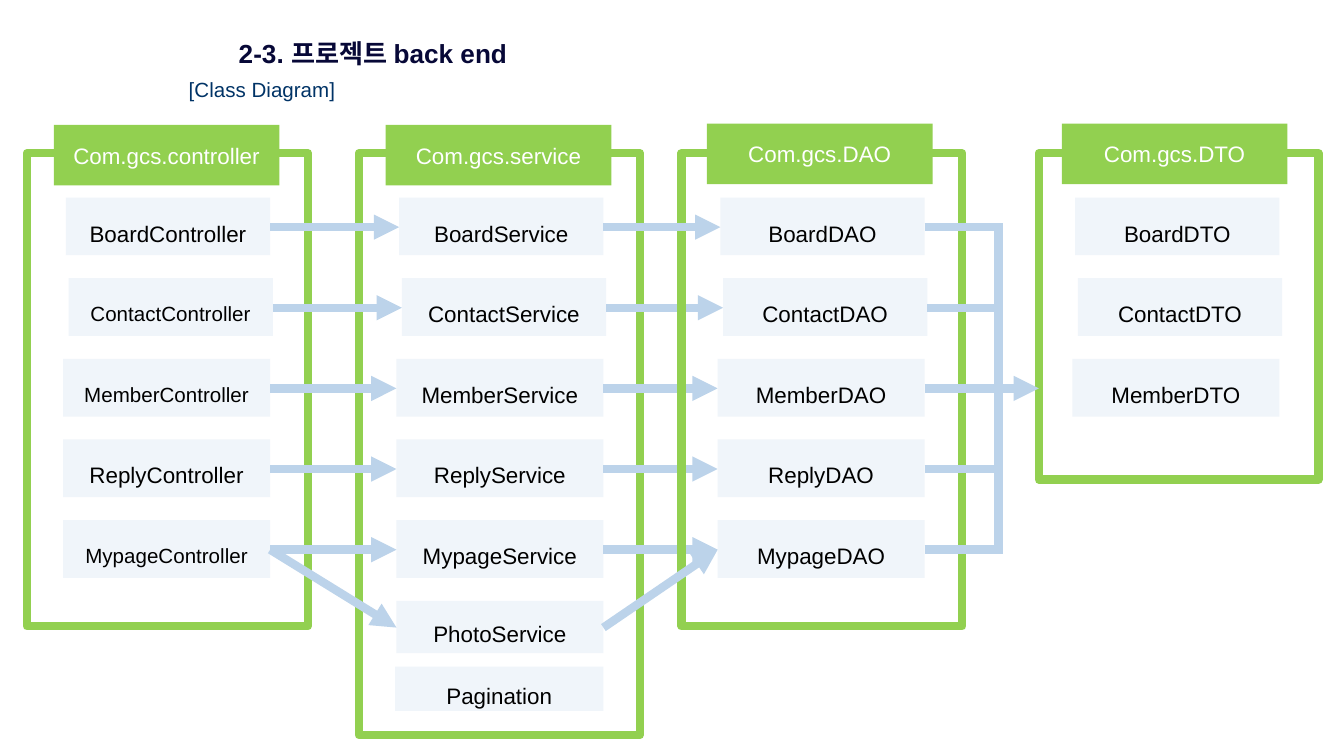
"""Build a class diagram slide of back-end packages and their links."""
from dataclasses import dataclass

from lxml import etree
from pptx import Presentation
from pptx import util as u
from pptx.dml.color import RGBColor
from pptx.enum import shapes, text
from pptx.oxml.ns import qn

GREEN, PALE, ARROW = "92D050", "F0F5FA", "BCD3EA"
ROW_TOP, ROW_STEP, BOX_HEIGHT = 1.47, 0.6, 0.43
ROW_SHIFTS = (0.02, 0.04, 0, 0, 0)
ROW_WIDTHS = (1.52, 1.52, 1.54, 1.54, 1.54)


@dataclass
class Box:
    label: str
    left: float
    top: float
    width: float
    height: float = BOX_HEIGHT
    size: int = 12


@dataclass
class Package:
    name: str
    frame: tuple[float, float, float, float]
    header_left: float
    header_top: float
    class_left: float
    kinds: tuple[str, ...]
    suffix: str
    small: tuple[str, ...] = ()
    extras: tuple[Box, ...] = ()


@dataclass
class Link:
    start: tuple[float, float]
    end: tuple[float, float]
    arrow: bool = True


KINDS = ("Board", "Contact", "Member", "Reply", "Mypage")
CONTROLLER = Package("Com.gcs.controller", (0.2, 1.14, 2.09, 3.52), 0.4, 0.93,
                     0.47, KINDS, "Controller", ("Contact", "Member", "Mypage"))
SERVICE = Package("Com.gcs.service", (2.67, 1.14, 2.09, 4.33), 2.87, 0.93,
                  2.95, KINDS, "Service",
                  extras=(Box("PhotoService", 2.95, 4.47, 1.54, 0.39),
                          Box("Pagination", 2.94, 4.96, 1.55, 0.33)))
DAO = Package("Com.gcs.DAO", (5.07, 1.14, 2.09, 3.52), 5.26, 0.92,
              5.34, KINDS, "DAO")
DTO = Package("Com.gcs.DTO", (7.73, 1.14, 2.08, 2.43), 7.9, 0.92,
              7.98, KINDS[:3], "DTO")


def color(value: str) -> RGBColor:
    return RGBColor.from_string(value)


def row_middle(row: int) -> float:
    return 1.69 + ROW_STEP * row


def left_edge(package: Package, row: int) -> float:
    return package.class_left + ROW_SHIFTS[row]


def right_edge(package: Package, row: int) -> float:
    return left_edge(package, row) + ROW_WIDTHS[row]


def row_link(source: Package, target: Package, row: int) -> Link:
    middle = row_middle(row)
    return Link((right_edge(source, row), middle), (left_edge(target, row), middle))


def write(shape, content: str, size: int, hex_color: str, bold: bool = False,
          spacing: float = 1.0, anchor=text.MSO_ANCHOR.MIDDLE) -> None:
    frame = shape.text_frame
    frame.word_wrap = True
    frame.auto_size = text.MSO_AUTO_SIZE.NONE
    frame.vertical_anchor = anchor
    paragraph = frame.paragraphs[0]
    paragraph.alignment = text.PP_ALIGN.CENTER
    paragraph.line_spacing = spacing
    run = paragraph.add_run()
    run.text = content
    run.font.name = "Arial"
    run.font.size = u.Pt(size)
    run.font.bold = bold
    run.font.color.rgb = color(hex_color)


def add_rectangle(slide, bounds: tuple[float, float, float, float],
                  fill: str | None = None):
    shape = slide.shapes.add_shape(shapes.MSO_SHAPE.RECTANGLE, *map(u.Inches, bounds))
    shape.shadow.inherit = False
    if fill:
        shape.fill.solid()
        shape.fill.fore_color.rgb = color(fill)
        shape.line.fill.background()
    else:
        shape.fill.background()
        shape.line.color.rgb = color(GREEN)
        shape.line.width = u.Pt(4.5)
    return shape


def add_box(slide, box: Box) -> None:
    shape = add_rectangle(slide, (box.left, box.top, box.width, box.height), PALE)
    write(shape, box.label, box.size, "000000", spacing=1.5)


def add_package(slide, package: Package) -> None:
    add_rectangle(slide, package.frame)
    header = add_rectangle(
        slide, (package.header_left, package.header_top, 1.68, 0.45), GREEN)
    write(header, package.name, 12, "FFFFFF")
    for row, kind in enumerate(package.kinds):
        add_box(slide, Box(kind + package.suffix, left_edge(package, row),
                           ROW_TOP + ROW_STEP * row, ROW_WIDTHS[row],
                           size=11 if kind in package.small else 12))
    for box in package.extras:
        add_box(slide, box)


def add_link(slide, link: Link) -> None:
    connector = slide.shapes.add_connector(
        shapes.MSO_CONNECTOR.STRAIGHT, *map(u.Inches, link.start + link.end))
    connector.line.color.rgb = color(ARROW)
    connector.line.width = u.Pt(4.5)
    if link.arrow:
        line = connector.line._get_or_add_ln()
        etree.SubElement(line, qn("a:tailEnd"), type="triangle")
    etree.SubElement(connector._element.spPr, qn("a:effectLst"))


def main() -> None:
    presentation = Presentation()
    presentation.slide_width = u.Inches(10)
    presentation.slide_height = presentation.slide_width * 9 // 16
    slide = presentation.slides.add_slide(presentation.slide_layouts[5])

    title = slide.shapes.title
    title.left, title.top = u.Inches(0.97), u.Inches(0.23)
    title.width, title.height = u.Inches(3.61), u.Inches(0.47)
    write(title, "2-3. 프로젝트 back end", 14, "070837", bold=True,
          anchor=text.MSO_ANCHOR.TOP)
    subtitle = slide.shapes.add_textbox(*map(u.Inches, (1.25, 0.55, 1.4, 0.23)))
    write(subtitle, "[Class Diagram]", 11, "003366")

    add_package(slide, CONTROLLER)
    add_package(slide, SERVICE)
    for row in range(len(KINDS)):
        add_link(slide, row_link(CONTROLLER, SERVICE, row))
        if row:
            add_link(slide, row_link(SERVICE, DAO, row))
    add_package(slide, DAO)
    add_package(slide, DTO)

    add_link(slide, row_link(SERVICE, DAO, 0))
    trunk, last, photo = 7.43, row_middle(4), 4.67
    add_link(slide, Link((trunk, last + 0.03), (trunk, row_middle(0) - 0.03), False))
    for row in range(len(KINDS)):
        reaches_dto = KINDS[row] == "Member"
        end = DTO.frame[0] if reaches_dto else trunk
        middle = row_middle(row)
        add_link(slide, Link((right_edge(DAO, row), middle), (end, middle), reaches_dto))
    add_link(slide, Link((right_edge(CONTROLLER, 4), last), (SERVICE.class_left, photo)))
    add_link(slide, Link((right_edge(SERVICE, 4), photo), (DAO.class_left, last)))
    presentation.save("out.pptx")


if __name__ == "__main__":
    main()
